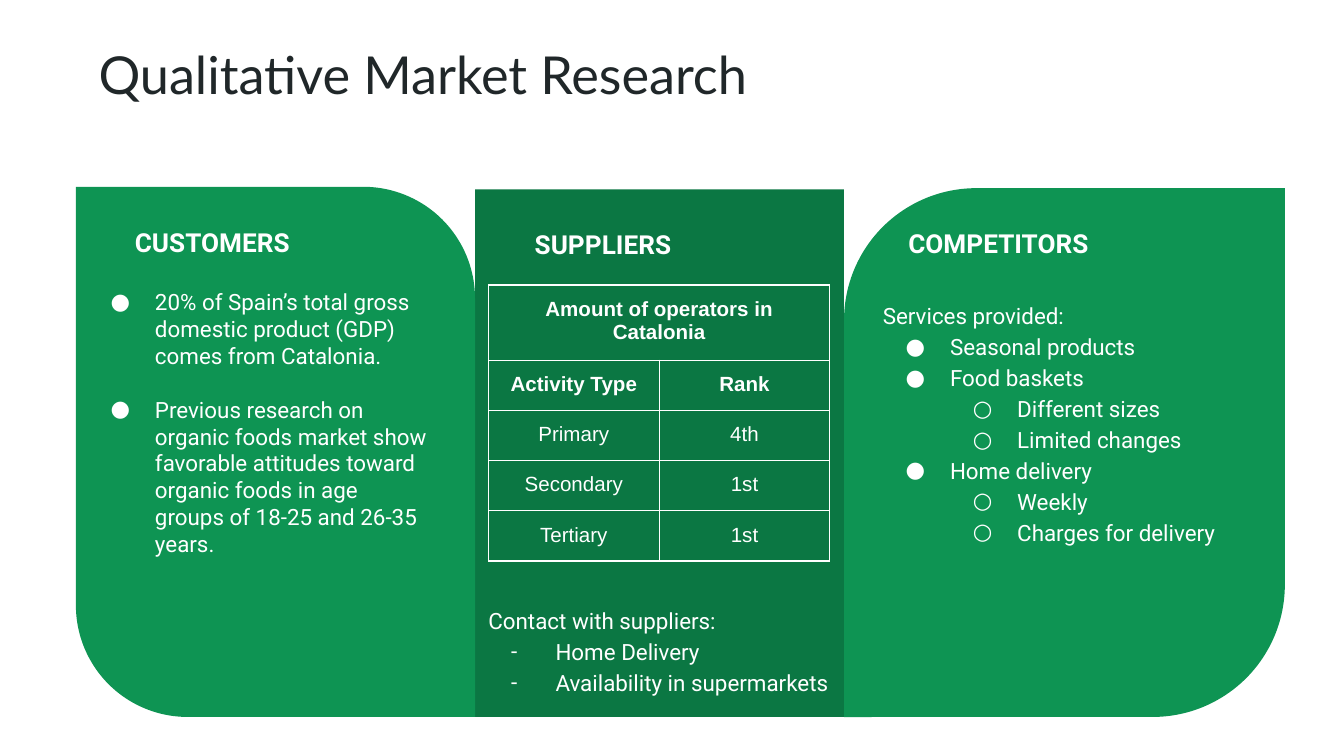
from lxml import etree
from pptx import Presentation
from pptx.dml.color import RGBColor
from pptx.enum.shapes import MSO_SHAPE
from pptx.enum.text import MSO_ANCHOR, PP_ALIGN
from pptx.oxml.ns import qn
from pptx.util import Pt

PANEL = MSO_SHAPE.ROUND_2_DIAG_RECTANGLE
TOP = MSO_ANCHOR.TOP
CENTER = PP_ALIGN.CENTER
PX = 4572
INSET = 20 * PX
CELL_INSET = 19 * PX
COLORS = {
    "ink": "202729",
    "white": "FFFFFF",
    "green": "0E9453",
    "dark_green": "0B7743",
}


class SlideBuilder:
    def __init__(self, page):
        self.page = page

    def color(self, name):
        return RGBColor.from_string(COLORS[name])

    def style(self, paragraph, size, color="white", font="Roboto", bold=False):
        paragraph.font.size = Pt(size)
        paragraph.font.name = font
        paragraph.font.bold = bold
        paragraph.font.color.rgb = self.color(color)

    def panel(self, left, top, width, height, color, corners):
        shape = self.page.shapes.add_shape(
            PANEL, left * PX, top * PX, width * PX, height * PX)
        shape.shadow.inherit = False
        shape.fill.solid()
        shape.fill.fore_color.rgb = self.color(color)
        shape.line.fill.background()
        for index, corner in enumerate(corners):
            shape.adjustments[index] = corner

    def frame(self, left, top, width, height):
        box = self.page.shapes.add_textbox(
            left * PX, top * PX, width * PX, height * PX)
        frame = box.text_frame
        frame.word_wrap = True
        frame.vertical_anchor = TOP
        frame.margin_left = frame.margin_right = INSET
        frame.margin_top = frame.margin_bottom = INSET
        return frame

    def label(self, left, top, width, height, text, size, **look):
        paragraph = self.frame(left, top, width, height).paragraphs[0]
        paragraph.text = text
        self.style(paragraph, size, **look)

    def bullet(self, paragraph, mark, level):
        properties = paragraph._p.get_or_add_pPr()
        properties.set("marL", str(100 * (level + 1) * PX))
        properties.set("indent", str(-66 * PX))
        tint = etree.SubElement(properties, qn("a:buClr"))
        etree.SubElement(tint, qn("a:srgbClr"), val=COLORS["white"])
        etree.SubElement(properties, qn("a:buSzPts"), val="1200")
        etree.SubElement(properties, qn("a:buFont"), typeface="Roboto")
        etree.SubElement(properties, qn("a:buChar"), char=mark)

    def items(self, left, top, width, height, lines, spacing=1.15, gap=0):
        frame = self.frame(left, top, width, height)
        for index, (mark, text) in enumerate(lines):
            paragraph = frame.add_paragraph() if index else frame.paragraphs[0]
            paragraph.text = text
            level = 1 if mark == "○" else 0
            paragraph.level = level
            if mark:
                self.bullet(paragraph, mark, level)
            paragraph.line_spacing = spacing
            if index and gap:
                paragraph.space_before = Pt(gap)
            self.style(paragraph, 12)

    def borders(self, cell):
        properties = cell._tc.get_or_add_tcPr()
        for side in ("lnL", "lnR", "lnT", "lnB"):
            line = etree.SubElement(properties, qn(f"a:{side}"), w=str(Pt(0.75)))
            fill = etree.SubElement(line, qn("a:solidFill"))
            etree.SubElement(fill, qn("a:srgbClr"), val=COLORS["white"])

    def table(self, left, top, widths, heights, rows, bold_rows):
        table = self.page.shapes.add_table(
            len(heights), len(widths), left * PX, top * PX,
            sum(widths) * PX, sum(heights) * PX).table
        table.first_row = table.horz_banding = False
        for column, width in zip(table.columns, widths):
            column.width = width * PX
        for row, height in zip(table.rows, heights):
            row.height = height * PX
        for row_index, texts in enumerate(rows):
            if len(texts) < len(widths):
                table.cell(row_index, 0).merge(
                    table.cell(row_index, len(widths) - 1))
            for column_index in range(len(widths)):
                cell = table.cell(row_index, column_index)
                cell.margin_left = cell.margin_right = INSET
                cell.margin_top = cell.margin_bottom = CELL_INSET
                cell.vertical_anchor = TOP
                self.borders(cell)
                cell.fill.background()
                paragraph = cell.text_frame.paragraphs[0]
                if column_index < len(texts):
                    paragraph.text = texts[column_index]
                paragraph.alignment = CENTER
                self.style(paragraph, 11, font="Arial",
                           bold=row_index < bold_rows)


def main():
    deck = Presentation()
    deck.slide_width = 2000 * PX
    deck.slide_height = 1125 * PX
    slide = SlideBuilder(deck.slides.add_slide(deck.slide_layouts[6]))

    slide.label(127, 43, 1314, 188, "Qualitative Market Research", 28,
                color="ink", font="Lato")

    slide.panel(707, 282, 549, 785, "dark_green", (0, 0))
    slide.label(776, 320, 410, 74, "SUPPLIERS", 14, bold=True)
    slide.items(707, 878, 576, 156, [
        ("", "Contact with suppliers:"),
        ("-", "Home Delivery"),
        ("-", "Availability in supermarkets"),
    ])

    slide.panel(113, 278, 594, 789, "green", (0, 0.28))
    slide.label(181, 317, 444, 92, "CUSTOMERS", 14, bold=True)
    slide.items(111, 409, 548, 522, [
        ("●", "20% of Spain’s total gross domestic product (GDP) "
              "comes from Catalonia."),
        ("●", "Previous research on organic foods market show favorable "
              "attitudes toward organic foods in age groups of 18-25 "
              "and 26-35 years."),
    ], spacing=1.0, gap=14.4)

    slide.panel(1256, 280, 656, 787, "green", (0.3, 0))
    slide.label(1332, 318, 528, 74, "COMPETITORS", 14, bold=True)
    slide.items(1294, 424, 596, 504, [
        ("", "Services provided:"),
        ("●", "Seasonal products"),
        ("●", "Food baskets"),
        ("○", "Different sizes"),
        ("○", "Limited changes"),
        ("●", "Home delivery"),
        ("○", "Weekly"),
        ("○", "Charges for delivery"),
    ])

    slide.table(727, 424, [254] * 2, [112] + [74] * 4, [
        ("Amount of operators in Catalonia",),
        ("Activity Type", "Rank"),
        ("Primary", "4th"),
        ("Secondary", "1st"),
        ("Tertiary", "1st"),
    ], bold_rows=2)

    deck.save("out.pptx")


if __name__ == "__main__":
    main()
